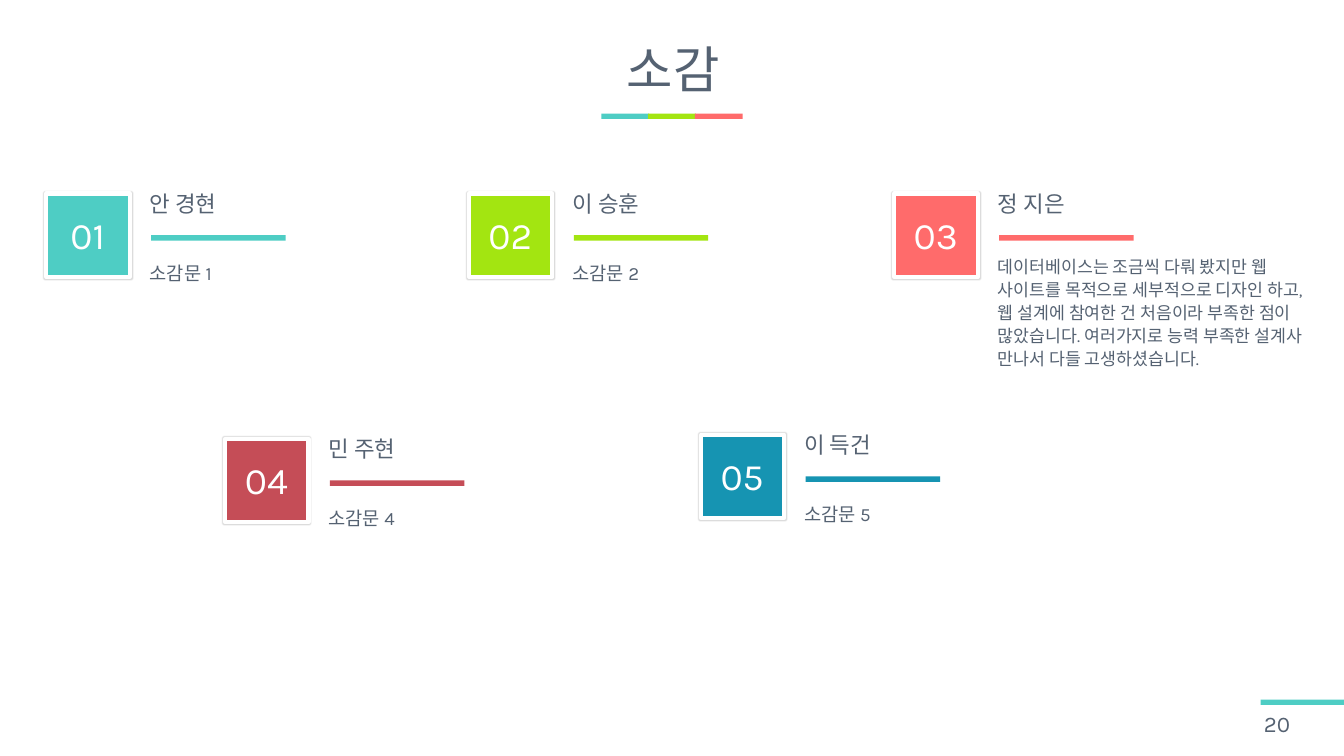
import lxml.etree
import pptx
import pptx.dml.color
import pptx.enum.shapes
import pptx.enum.text
import pptx.oxml.ns
import pptx.util

COLUMNS, ROWS = 20, 11.25
CELL = pptx.util.Inches(1)
FONT = "Karla"
COLORS = {
    "teal": "4ECDC4",
    "lime": "A3E511",
    "coral": "FF6B6B",
    "crimson": "C54D57",
    "blue": "1694B2",
    "slate": "556272",
    "white": "FFFFFF",
    "black": "000000",
}
BAR_HEIGHT = 0.08
BADGE_SIZE = 1.24
CENTER = pptx.enum.text.PP_ALIGN.CENTER
MIDDLE = pptx.enum.text.MSO_ANCHOR.MIDDLE
LOOSE = {"line_spacing": 1.3, "space_before": pptx.util.Pt(12)}
TIGHT = {**LOOSE, "line_spacing": 1.1}
REVIEW = (
    "데이터베이스는 조금씩 다뤄 봤지만 웹 사이트를 목적으로 세부적으로 디자인 하고, "
    "웹 설계에 참여한 건 처음이라 부족한 점이 많았습니다. "
    "여러가지로 능력 부족한 설계사 만나서 다들 고생하셨습니다."
)
CARDS = [
    (0.69, 2.88, "teal", "안 경현", "소감문 1", 20, LOOSE),
    (6.98, 2.88, "lime", "이 승훈", "소감문 2", 20, LOOSE),
    (13.31, 2.88, "coral", "정 지은", REVIEW, 18.5, TIGHT),
    (3.35, 6.53, "crimson", "민 주현", "소감문 4", 20, LOOSE),
    (10.43, 6.47, "blue", "이 득건", "소감문 5", 20, LOOSE),
]


def rgb(color):
    return pptx.dml.color.RGBColor.from_string(COLORS[color])


def to_grid(*cells):
    return [round(value * CELL) for value in cells]


def apply_format(target, values):
    for name, value in values.items():
        setattr(target, name, value)


def add_rectangle(slide, box, color):
    shape = slide.shapes.add_shape(
        pptx.enum.shapes.MSO_SHAPE.RECTANGLE, *to_grid(*box)
    )
    shape.shadow.inherit = False
    shape.fill.solid()
    shape.fill.fore_color.rgb = rgb(color)
    shape.line.fill.background()
    return shape


def add_text(slide, box, text, size, color="slate", paragraph_format=None, anchor=None):
    text_frame = slide.shapes.add_textbox(*to_grid(*box)).text_frame
    apply_format(text_frame, {"word_wrap": True, "vertical_anchor": anchor})
    paragraph = text_frame.paragraphs[0]
    apply_format(paragraph, paragraph_format or {})
    run = paragraph.add_run()
    run.text = text
    apply_format(run.font, {"name": FONT, "size": pptx.util.Pt(size)})
    run.font.color.rgb = rgb(color)


def add_soft_shadow(shape):
    qn = pptx.oxml.ns.qn
    effects = shape._element.spPr.find(qn("a:effectLst"))
    shadow = lxml.etree.SubElement(
        effects, qn("a:outerShdw"), blurRad=str(pptx.util.Pt(1)), dist="0", dir="0",
        sx="101000", sy="101000", algn="ctr", rotWithShape="0",
    )
    color = lxml.etree.SubElement(shadow, qn("a:srgbClr"), val=COLORS["black"])
    lxml.etree.SubElement(color, qn("a:alpha"), val="15000")


def add_header(slide, left, top, width, height):
    stripe_width, stripe_step = 0.71, 0.695
    for index, color in enumerate(("teal", "lime", "coral")):
        stripe_left = COLUMNS / 2 - 1.05 + index * stripe_step
        add_rectangle(
            slide, (stripe_left, top + 1.31, stripe_width, BAR_HEIGHT), color
        )
    add_text(
        slide, (left, top, width, height), "소감", 54,
        paragraph_format={"alignment": CENTER, "line_spacing": 0.9}, anchor=MIDDLE,
    )


def add_page_number(slide, left, top, width, height):
    add_rectangle(slide, (left + 0.05, top - 0.09, width - 0.05, BAR_HEIGHT), "teal")
    add_text(slide, (left, top, width, height), "20", 24, anchor=MIDDLE)


def add_card(slide, left, top, number, color, name, review, review_size, review_format):
    add_rectangle(slide, (left + 1.56, top + 0.62, 2, BAR_HEIGHT), color)
    badge = add_rectangle(slide, (left, top, BADGE_SIZE, BADGE_SIZE), color)
    badge.line.color.rgb = rgb("white")
    badge.line.width = pptx.util.Pt(4.5)
    add_soft_shadow(badge)
    add_text(
        slide, (left + 0.13, top + 0.23, 0.97, 0.77), f"{number:02}", 40,
        "white", {"alignment": CENTER},
    )
    text_left = left + 1.44
    add_text(
        slide, (text_left, top + 0.86, 4.85, 2.25), review, review_size,
        paragraph_format=review_format,
    )
    add_text(
        slide, (text_left, top - 0.22, 4.65, 0.82), name, 24, paragraph_format=LOOSE
    )


def main():
    presentation = pptx.Presentation()
    apply_format(
        presentation,
        {"slide_width": COLUMNS * CELL, "slide_height": round(ROWS * CELL)},
    )
    slide = presentation.slides.add_slide(presentation.slide_layouts[6])
    add_header(slide, 0.54, 0.38, 18.96, 1.4)
    add_page_number(slide, COLUMNS - 1.29, ROWS - 0.75, 1.29, 0.53)
    for number, (left, top, *content) in enumerate(CARDS, 1):
        add_card(slide, left, top, number, *content)
    presentation.save("out.pptx")


if __name__ == "__main__":
    main()
